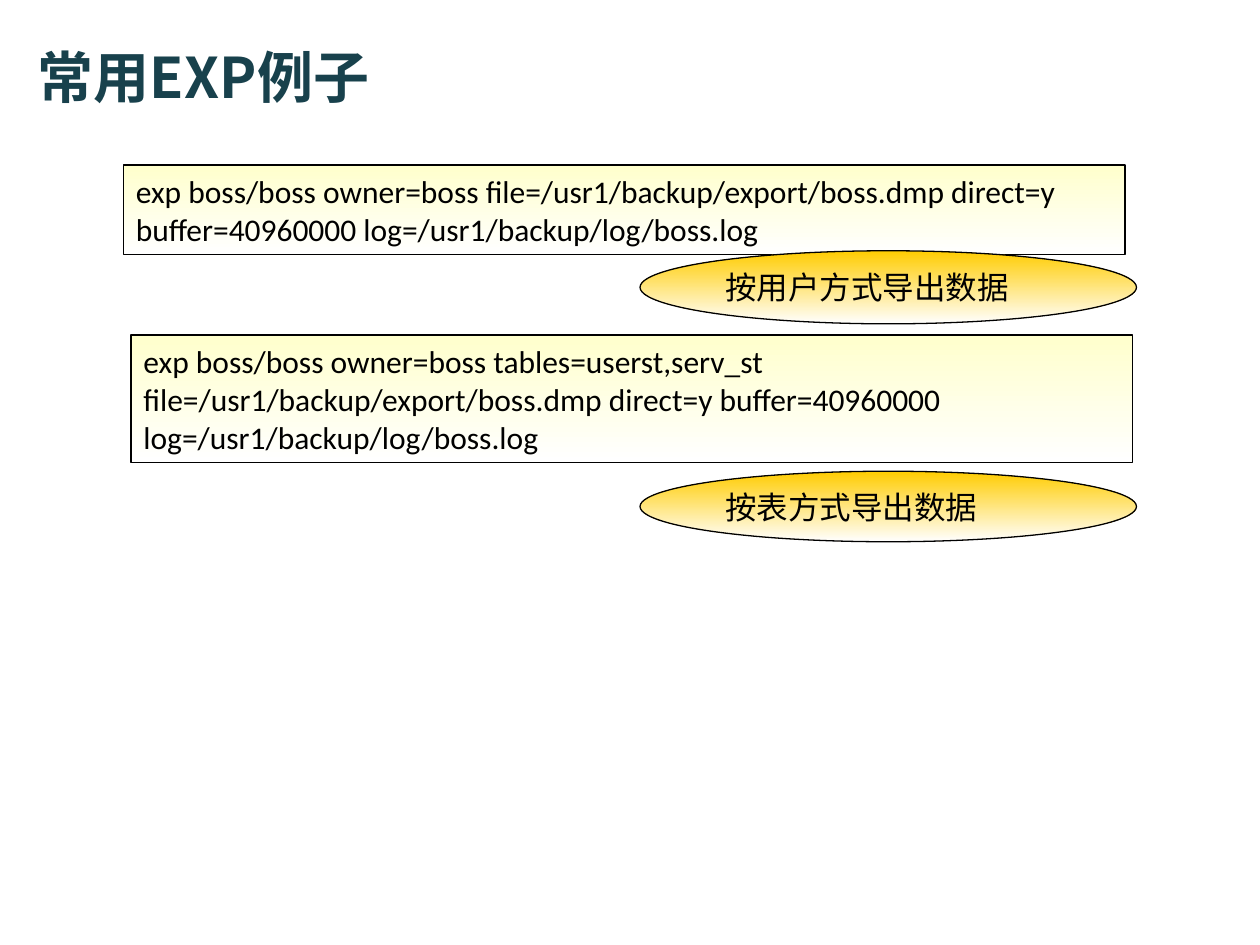
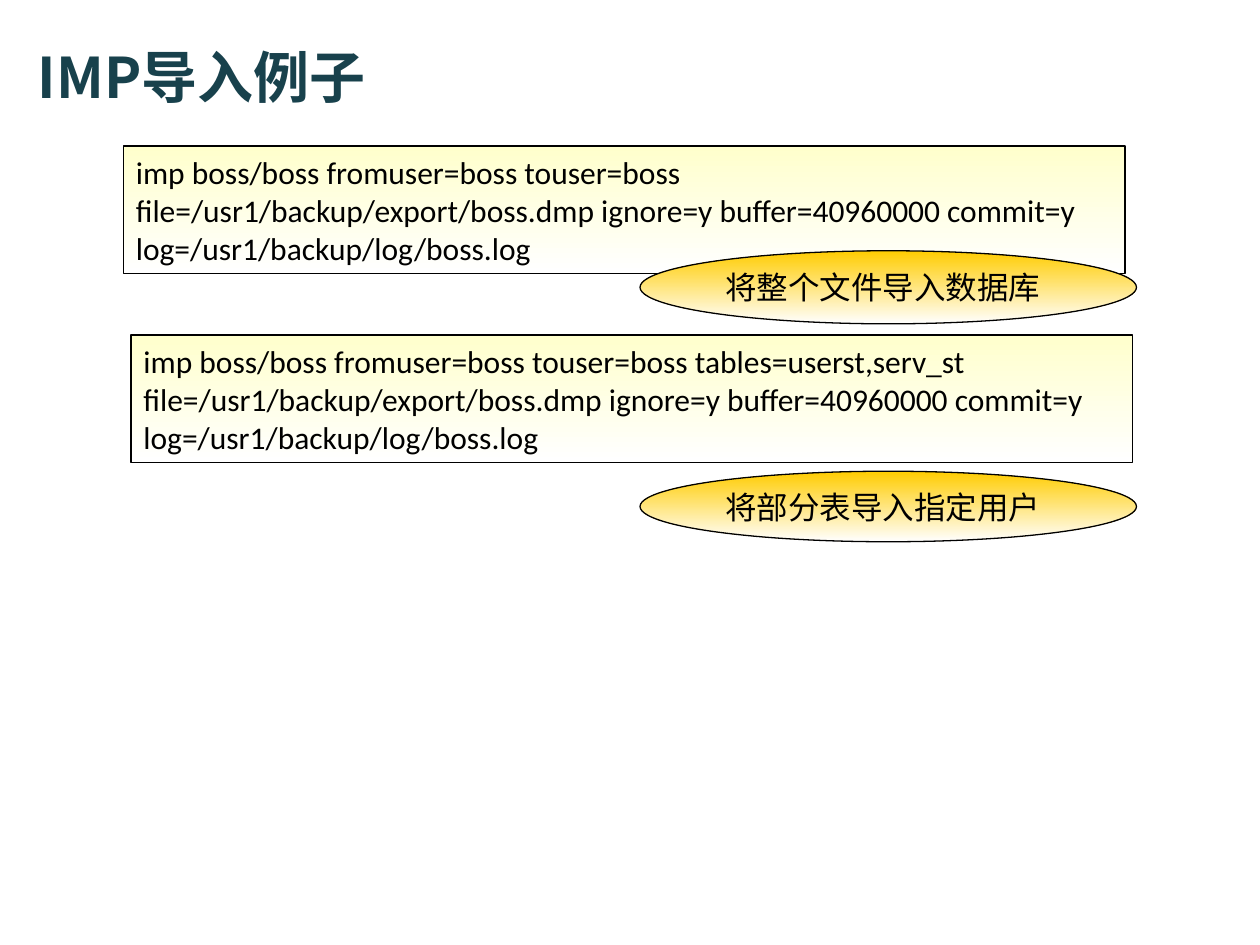
import dataclasses

import pptx
import pptx.dml.color
import pptx.enum.shapes
import pptx.enum.text
import pptx.oxml.ns
import pptx.util
from lxml import etree

Inches = pptx.util.Inches
Shape = pptx.enum.shapes.MSO_SHAPE


@dataclasses.dataclass(frozen=True)
class Theme:
    title: str = "18414C"
    ink: str = "000000"
    cream: str = "FFFFCC"
    gold: str = "FFCC00"
    white: str = "FFFFFF"
    latin: str = "Calibri"
    asian: str = "Noto Sans CJK SC"
    head: int = 32
    body: int = 18
    line: float = 0.75


def rgb(code):
    return pptx.dml.color.RGBColor.from_string(code)


class Deck:
    def __init__(self, theme):
        self.theme = theme
        self.show = pptx.Presentation()
        self.show.slide_width = Inches(10)
        self.show.slide_height = Inches(7.5)
        self.slide = None

    def letter(self, shape, text, size, color, face, bold=False):
        """Put left-aligned, vertically centred text in a shape."""
        frame = shape.text_frame
        frame.text = text
        frame.word_wrap = True
        frame.auto_size = pptx.enum.text.MSO_AUTO_SIZE.NONE
        frame.vertical_anchor = pptx.enum.text.MSO_ANCHOR.MIDDLE
        para = frame.paragraphs[0]
        para.alignment = pptx.enum.text.PP_ALIGN.LEFT
        font = para.font
        font.size = pptx.util.Pt(size)
        font.bold = bold
        font.color.rgb = rgb(color)
        font.name = face
        # East Asian typeface
        style = para._p.pPr.find(pptx.oxml.ns.qn("a:defRPr"))
        asian = etree.SubElement(style, pptx.oxml.ns.qn("a:ea"))
        asian.set("typeface", self.theme.asian)

    def start(self, text):
        """Add a slide with its title."""
        self.slide = self.show.slides.add_slide(self.show.slide_layouts[5])
        title = self.slide.shapes.title
        title.left, title.top = Inches(0.2), Inches(0.21)
        title.width, title.height = Inches(8.8), Inches(0.79)
        look = self.theme
        self.letter(title, text, look.head, look.title, look.asian, True)

    def panel(self, kind, place, color, text):
        """Add an outlined shape that fades from a colour to white."""
        look = self.theme
        shape = self.slide.shapes.add_shape(kind, *map(Inches, place))
        shape.shadow.inherit = False
        shape.fill.gradient()
        shape.fill.gradient_angle = 270
        for stop, tone in zip(shape.fill.gradient_stops, (color, look.white)):
            stop.color.rgb = rgb(tone)
        shape.line.color.rgb = rgb(look.ink)
        shape.line.width = pptx.util.Pt(look.line)
        self.letter(shape, text, look.body, look.ink, look.latin)

    def code(self, left, top, height, text):
        self.panel(Shape.RECTANGLE, (left, top, 7.95, height),
                   self.theme.cream, text)

    def label(self, top, height, text):
        self.panel(Shape.OVAL, (5.08, top, 3.94, height),
                   self.theme.gold, text)

    def sample(self, title, first, second, top, height):
        """Build one slide: two commands, each with its label."""
        self.start(title)
        self.code(0.98, top, height, first[0])
        self.label(1.99, 0.58, first[1])
        self.label(3.74, 0.56, second[1])
        self.code(1.04, 2.66, 1.01, second[0])


def main():
    deck = Deck(Theme())

    # Export
    deck.sample(
        "常用EXP例子",
        ("exp boss/boss owner=boss file=/usr1/backup/export/boss.dmp "
         "direct=y buffer=40960000 log=/usr1/backup/log/boss.log",
         "按用户方式导出数据"),
        ("exp boss/boss owner=boss tables=userst,serv_st "
         "file=/usr1/backup/export/boss.dmp direct=y buffer=40960000 "
         "log=/usr1/backup/log/boss.log",
         "按表方式导出数据"),
        top=1.31, height=0.71)

    # Import
    deck.sample(
        "IMP导入例子",
        ("imp boss/boss fromuser=boss touser=boss "
         "file=/usr1/backup/export/boss.dmp ignore=y buffer=40960000 "
         "commit=y log=/usr1/backup/log/boss.log",
         "将整个文件导入数据库"),
        ("imp boss/boss fromuser=boss touser=boss tables=userst,serv_st "
         "file=/usr1/backup/export/boss.dmp ignore=y buffer=40960000 "
         "commit=y log=/usr1/backup/log/boss.log",
         "将部分表导入指定用户"),
        top=1.16, height=1.01)

    deck.show.save("out.pptx")


if __name__ == "__main__":
    main()
